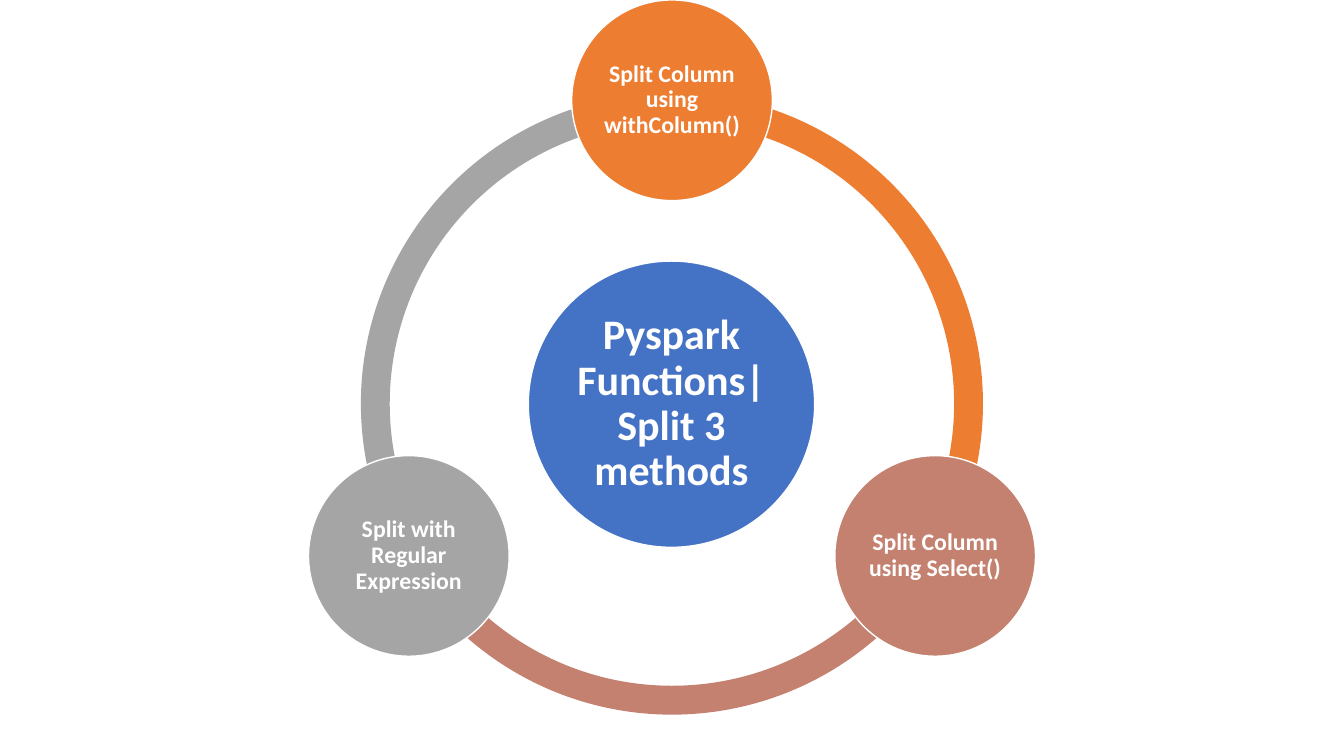
import math

import pptx
import pptx.dml.color
import pptx.enum.shapes
import pptx.enum.text
import pptx.util

EMU_PER_PX = 9144
SLIDE_WIDTH, SLIDE_HEIGHT = 1333, 750
CENTER_X, CENTER_Y = SLIDE_WIDTH / 2, 401
ORBIT_RADIUS = 301
RING_SIZE, HUB_SIZE, METHOD_SIZE = 617, 284, 199
RING_THICKNESS = 0.0464
FONT = "Calibri"
COLORS = {
    "blue": "4472C4",
    "orange": "ED7D31",
    "rose": "C48170",
    "gray": "A5A5A5",
    "white": "FFFFFF",
}
METHODS = [
    ("Split Column using withColumn()", "orange"),
    ("Split Column using Select()", "rose"),
    ("Split with Regular Expression", "gray"),
]


def px(length):
    return pptx.util.Emu(round(length) * EMU_PER_PX)


def rgb(name):
    return pptx.dml.color.RGBColor.from_string(COLORS[name])


def add_centered_shape(page, kind, x, y, size, color):
    """Add a square-framed shape whose middle is at x, y."""
    shape = page.shapes.add_shape(
        kind, px(x - size / 2), px(y - size / 2), px(size), px(size))
    shape.shadow.inherit = False
    shape.fill.solid()
    shape.fill.fore_color.rgb = rgb(color)
    return shape


def add_arc(page, start, end, color):
    """Add a ring segment running clockwise between two angles in degrees."""
    arc = add_centered_shape(page, pptx.enum.shapes.MSO_SHAPE.BLOCK_ARC,
                             CENTER_X, CENTER_Y, RING_SIZE, color)
    arc.line.fill.background()
    # Adjustments count 100000ths; the shape stores angles in 60000ths of a degree.
    arc.adjustments[0] = start * 0.6
    arc.adjustments[1] = end * 0.6
    arc.adjustments[2] = RING_THICKNESS


def write_text(shape, text, *, size, inset, color="white", bold=True):
    frame = shape.text_frame
    frame.word_wrap = True
    frame.vertical_anchor = pptx.enum.text.MSO_ANCHOR.MIDDLE
    frame.margin_left = frame.margin_right = px(inset)
    frame.margin_top = frame.margin_bottom = px(inset)
    para = frame.paragraphs[0]
    para.alignment = pptx.enum.text.PP_ALIGN.CENTER
    para.line_spacing = 0.9
    span = para.add_run()
    span.text = text
    span.font.name = FONT
    span.font.size = pptx.util.Pt(size)
    span.font.bold = bold
    span.font.color.rgb = rgb(color)


def add_circle(page, x, y, diameter, color, text, **text_format):
    circle = add_centered_shape(page, pptx.enum.shapes.MSO_SHAPE.OVAL,
                                x, y, diameter, color)
    circle.line.color.rgb = rgb("white")
    circle.line.width = pptx.util.Pt(1)
    write_text(circle, text, **text_format)


def main():
    deck = pptx.Presentation()
    deck.slide_width, deck.slide_height = px(SLIDE_WIDTH), px(SLIDE_HEIGHT)
    page = deck.slides.add_slide(deck.slide_layouts[6])

    step = 360 // len(METHODS)
    angles = [(270 + step * index) % 360 for index in range(len(METHODS))]
    for angle, (_, color) in reversed(list(zip(angles, METHODS))):
        add_arc(page, angle, (angle + step) % 360, color)

    add_circle(page, CENTER_X, CENTER_Y, HUB_SIZE, "blue",
               "Pyspark Functions| Split 3 methods", size=30, inset=4)
    for angle, (text, color) in zip(angles, METHODS):
        x = CENTER_X + ORBIT_RADIUS * math.cos(math.radians(angle))
        y = CENTER_Y + ORBIT_RADIUS * math.sin(math.radians(angle))
        add_circle(page, x, y, METHOD_SIZE, color, text, size=17, inset=2)

    deck.save("out.pptx")


if __name__ == "__main__":
    main()
